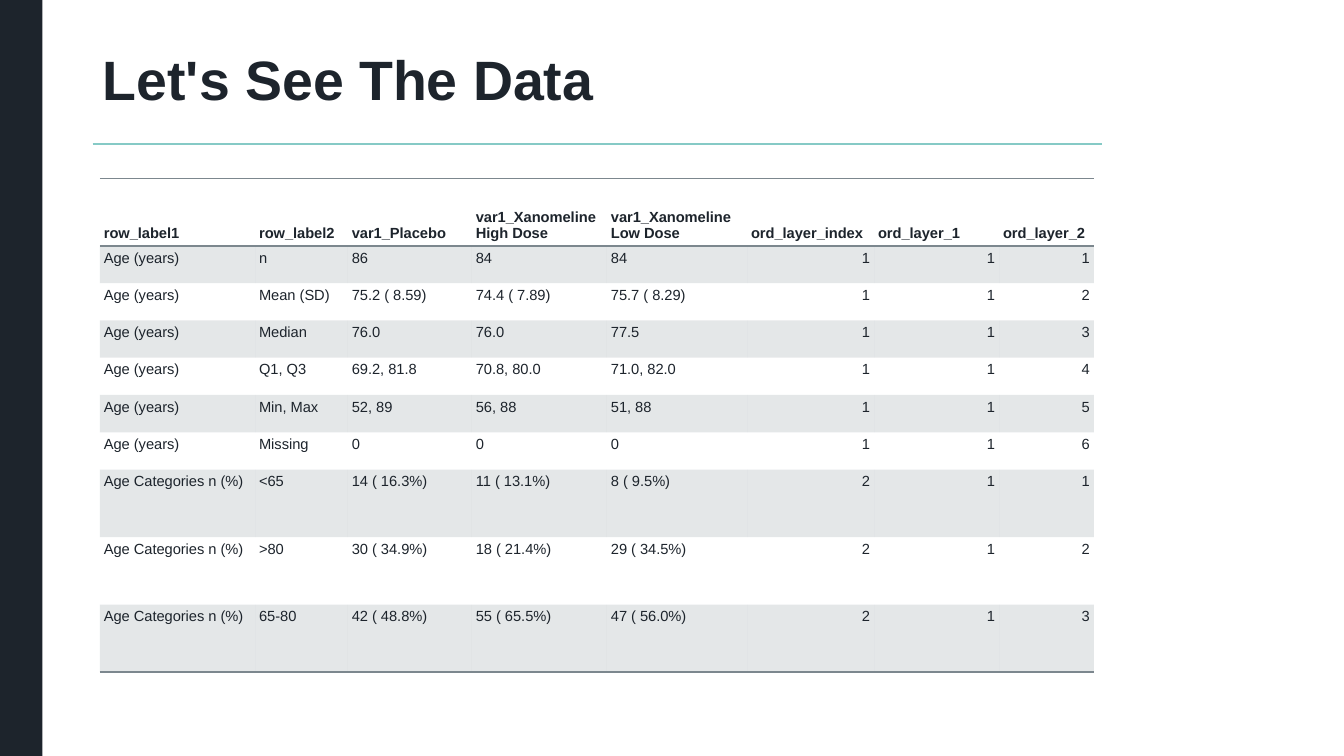
"""Build the slide that shows the age summary table."""
from lxml import etree
from pptx import Presentation
from pptx.dml.color import RGBColor
from pptx.enum import shapes, text
from pptx.oxml.ns import qn
from pptx.util import Inches, Pt

INK = RGBColor(0x1D, 0x24, 0x2C)
TEAL = RGBColor(0x86, 0xCA, 0xC6)
GREY = RGBColor(0x7C, 0x87, 0x8E)
FONT = "Arial"
PLAIN_STYLE = "{2D5ABB26-0587-4C30-8999-92F81FD0307C}"

TITLE = "Let's See The Data"
AGE, GROUP = "Age (years)", "Age Categories n (%)"
ROWS = [
    ("row_label1", "row_label2", "var1_Placebo", "var1_Xanomeline High Dose",
     "var1_Xanomeline Low Dose", "ord_layer_index", "ord_layer_1", "ord_layer_2"),
    (AGE, "n", "86", "84", "84", "1", "1", "1"),
    (AGE, "Mean (SD)", "75.2 ( 8.59)", "74.4 ( 7.89)", "75.7 ( 8.29)", "1", "1", "2"),
    (AGE, "Median", "76.0", "76.0", "77.5", "1", "1", "3"),
    (AGE, "Q1, Q3", "69.2, 81.8", "70.8, 80.0", "71.0, 82.0", "1", "1", "4"),
    (AGE, "Min, Max", "52, 89", "56, 88", "51, 88", "1", "1", "5"),
    (AGE, "Missing", "0", "0", "0", "1", "1", "6"),
    (GROUP, "<65", "14 ( 16.3%)", "11 ( 13.1%)", "8 ( 9.5%)", "2", "1", "1"),
    (GROUP, ">80", "30 ( 34.9%)", "18 ( 21.4%)", "29 ( 34.5%)", "2", "1", "2"),
    (GROUP, "65-80", "42 ( 48.8%)", "55 ( 65.5%)", "47 ( 56.0%)", "2", "1", "3"),
]
COLUMN_WIDTHS = [1.54, 0.92, 1.23, 1.34, 1.39, 1.26, 1.24, 0.94]
SHORT_ROW, TALL_ROW = 0.37, 0.67
FIRST_NUMBER_COLUMN = 5


def write(frame, words, size=10.5, bold=False, align=text.PP_ALIGN.LEFT, spacing=1.0):
    """Put formatted words into a text frame."""
    para = frame.paragraphs[0]
    para.alignment = align
    para.line_spacing = spacing
    span = para.add_run()
    span.text = words
    span.font.name = FONT
    span.font.size = Pt(size)
    span.font.bold = bold
    span.font.color.rgb = INK


def add_border(cell, side):
    """Rule one side of a cell."""
    line = etree.SubElement(cell._tc.get_or_add_tcPr(), qn("a:" + side), w=str(Pt(1)))
    fill = etree.SubElement(line, qn("a:solidFill"))
    etree.SubElement(fill, qn("a:srgbClr"), val=str(GREY))


def shade(cell):
    """Fill a cell with translucent grey."""
    cell.fill.solid()
    cell.fill.fore_color.rgb = GREY
    color = cell._tc.tcPr.find(".//" + qn("a:solidFill") + "[last()]/" + qn("a:srgbClr"))
    color = cell._tc.tcPr.find(qn("a:solidFill")).find(qn("a:srgbClr")) if color is None else color
    color = cell._tc.tcPr.find(qn("a:solidFill")).find(qn("a:srgbClr"))
    etree.SubElement(color, qn("a:alpha"), val="20000")


def add_frame(page):
    """Add the side bar, the title and the rule below it."""
    bar = page.shapes.add_shape(shapes.MSO_SHAPE.RECTANGLE, 0, 0, Inches(0.42), Inches(7.5))
    bar.shadow.inherit = False
    bar.fill.solid()
    bar.fill.fore_color.rgb = INK
    bar.line.fill.background()

    rule = page.shapes.add_connector(shapes.MSO_CONNECTOR.STRAIGHT, Inches(0.92),
                                     Inches(1.43), Inches(10.93), Inches(1.43))
    rule.line.color.rgb = TEAL
    rule.line.width = Pt(1)
    etree.SubElement(rule._element.spPr, qn("a:effectLst"))

    title = page.shapes.title
    title.left, title.top = Inches(0.92), Inches(0.53)
    title.width, title.height = Inches(10.01), Inches(0.58)
    title.text_frame.auto_size = text.MSO_AUTO_SIZE.NONE
    title.text_frame.vertical_anchor = text.MSO_ANCHOR.MIDDLE
    write(title.text_frame, TITLE, size=39.6, bold=True, spacing=0.9)


def add_data_table(page):
    """Add the table with its bands and rules."""
    heights = [TALL_ROW if row[0] in (ROWS[0][0], GROUP) else SHORT_ROW for row in ROWS]
    holder = page.shapes.add_table(len(ROWS), len(COLUMN_WIDTHS), Inches(0.99), Inches(1.77),
                                   Inches(sum(COLUMN_WIDTHS)), Inches(sum(heights)))
    table = holder.table
    table.horz_banding = False
    table._tbl.tblPr.find(qn("a:tableStyleId")).text = PLAIN_STYLE
    for column, width in zip(table.columns, COLUMN_WIDTHS):
        column.width = Inches(width)
    for r, (row, height) in enumerate(zip(ROWS, heights)):
        table.rows[r].height = Inches(height)
        header = r == 0
        for c, words in enumerate(row):
            cell = table.cell(r, c)
            cell.margin_left = cell.margin_right = Inches(0.04)
            cell.margin_top = cell.margin_bottom = Inches(0.04)
            cell.vertical_anchor = text.MSO_ANCHOR.BOTTOM if header else text.MSO_ANCHOR.TOP
            number = not header and c >= FIRST_NUMBER_COLUMN
            write(cell.text_frame, words, bold=header,
                  align=text.PP_ALIGN.RIGHT if number else text.PP_ALIGN.LEFT)
            if header:
                add_border(cell, "lnT")
            if header or r == len(ROWS) - 1:
                add_border(cell, "lnB")
            if r % 2:
                shade(cell)
            else:
                cell.fill.background()


def main():
    """Create and save the deck."""
    deck = Presentation()
    deck.slide_width, deck.slide_height = Inches(13.33), Inches(7.5)
    page = deck.slides.add_slide(deck.slide_layouts[5])
    add_frame(page)
    add_data_table(page)
    deck.save("out.pptx")


if __name__ == "__main__":
    main()
